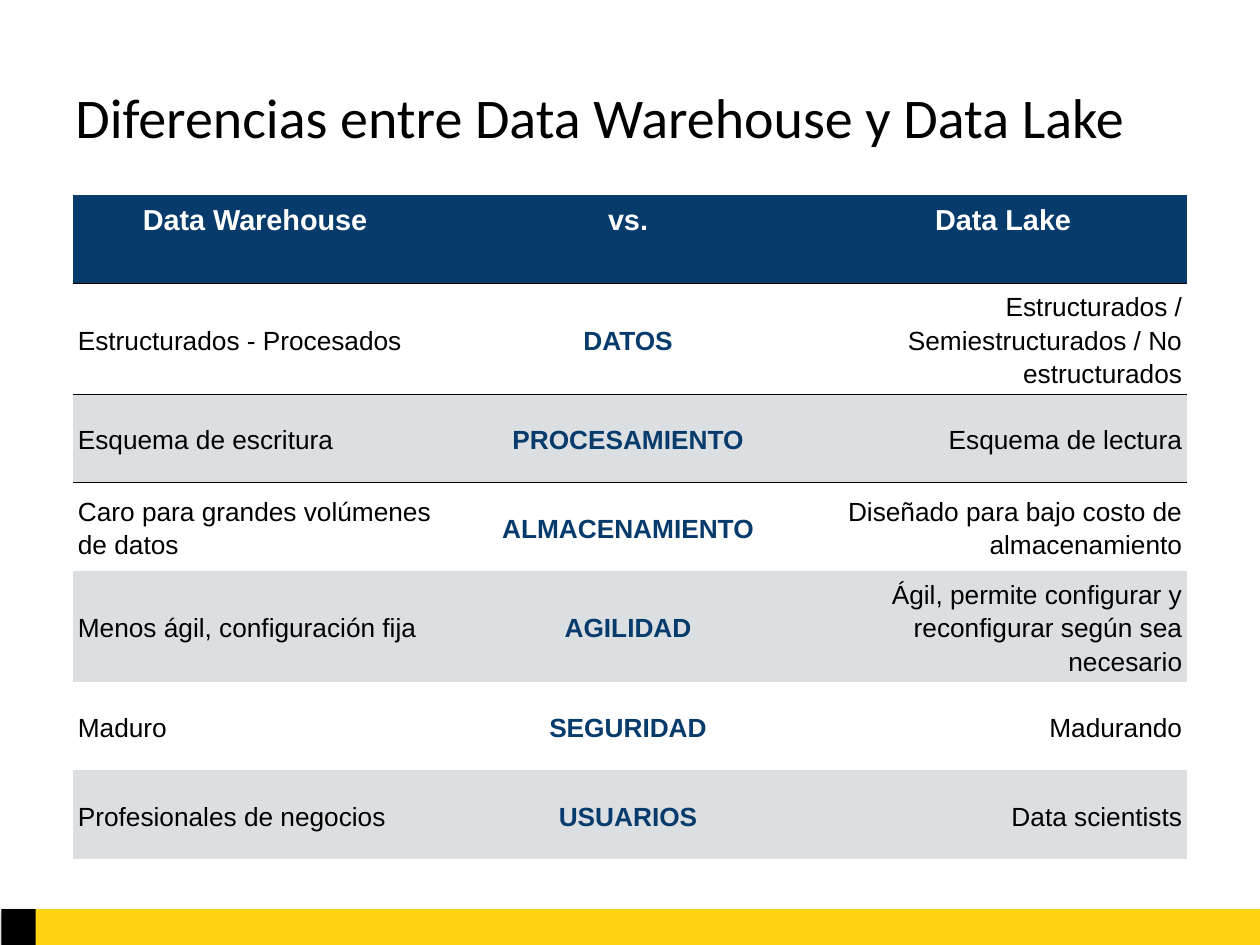
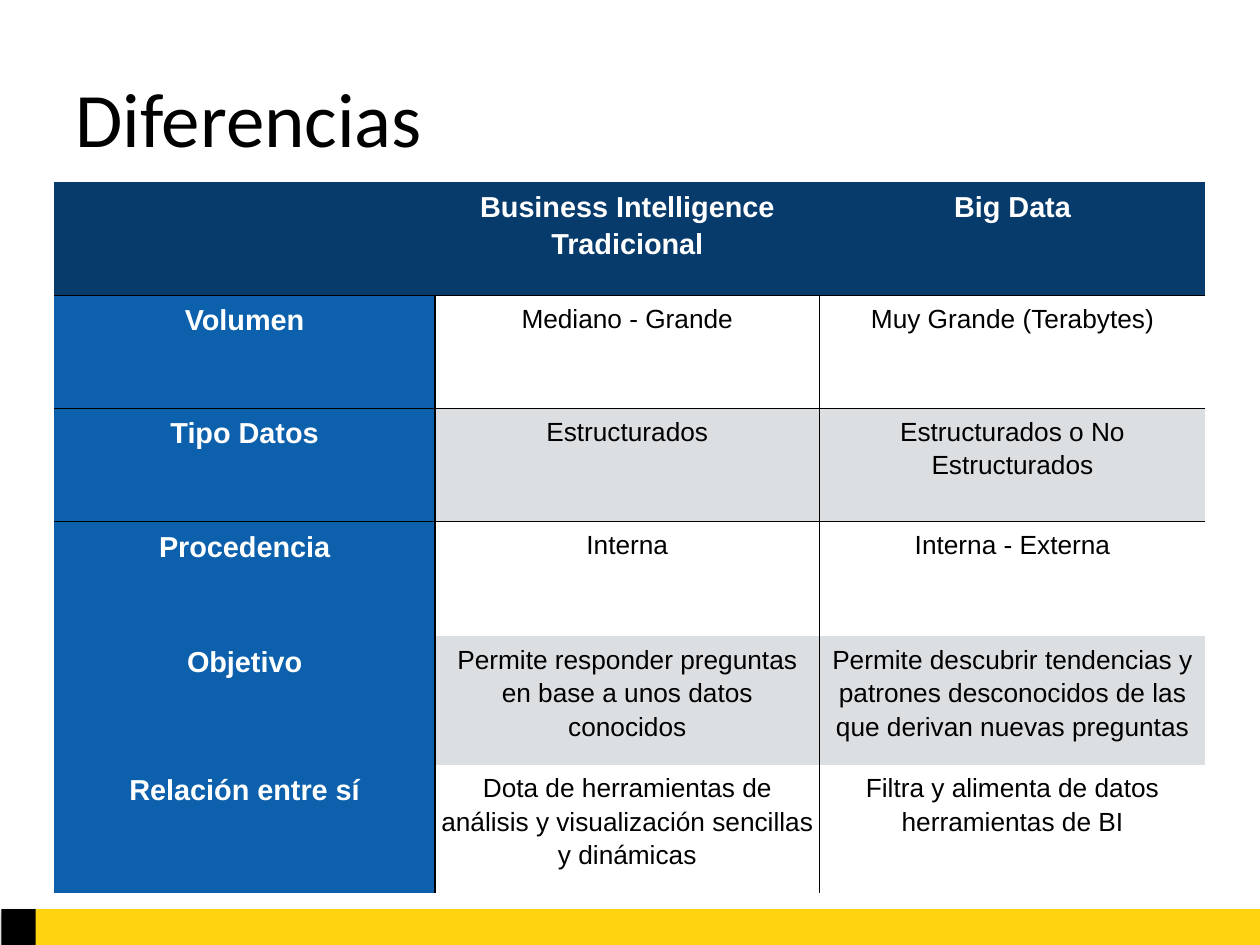
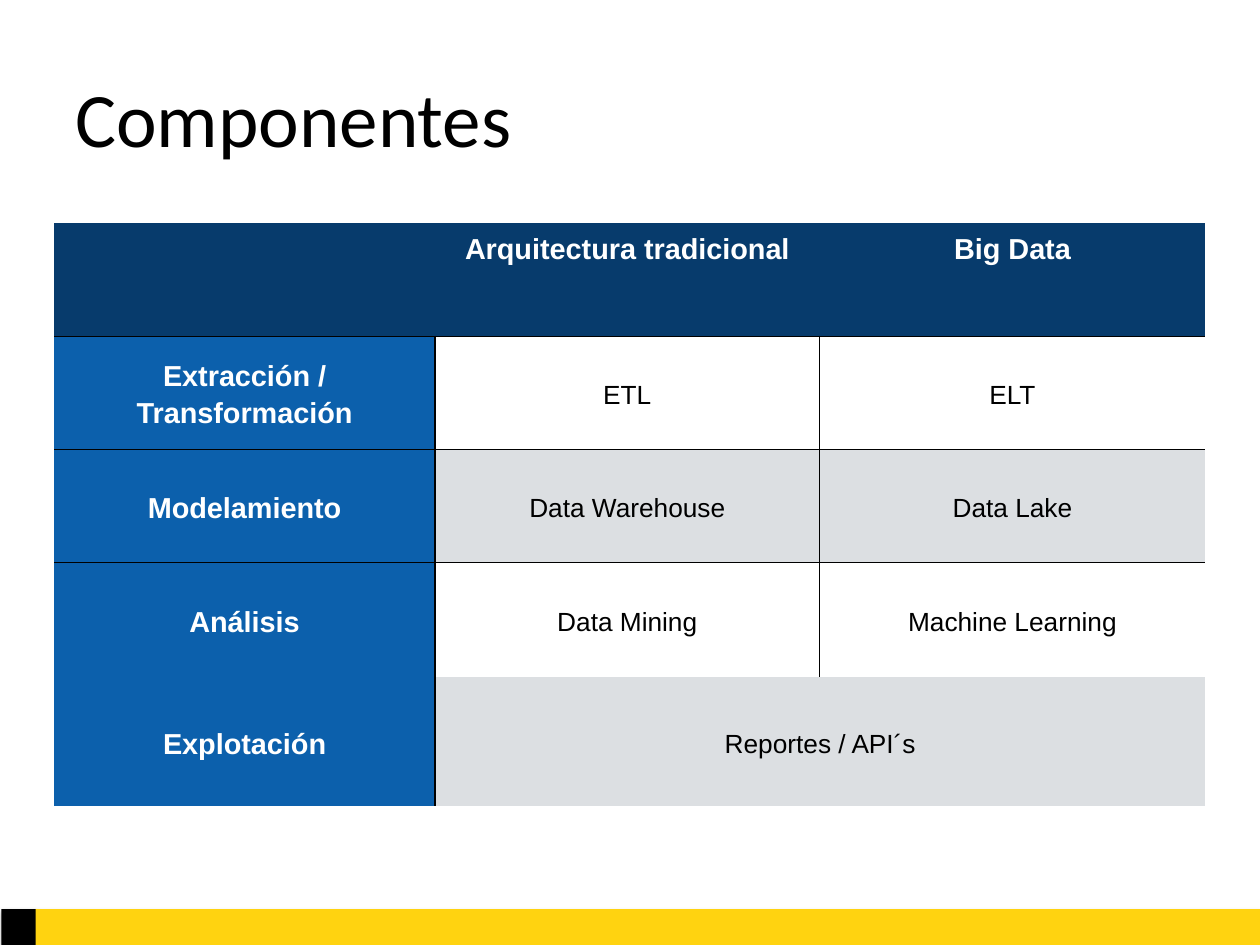
from dataclasses import dataclass

from lxml.etree import SubElement
from pptx import Presentation
from pptx.dml.color import RGBColor
from pptx.enum.shapes import MSO_SHAPE
from pptx.enum.text import MSO_ANCHOR, PP_ALIGN
from pptx.oxml import parse_xml
from pptx.oxml.ns import nsdecls, qn
from pptx.util import Cm, Pt


@dataclass(frozen=True)
class Theme:
    black: str = "000000"
    white: str = "FFFFFF"
    yellow: str = "FFD310"
    navy: str = "073B6C"
    blue: str = "0C60AC"
    grey: str = "DCDFE2"
    title_font: str = "Calibri"
    table_font: str = "Arial"
    title: float = 44
    long_title: float = 32
    heading: float = 16.5
    body: float = 15
    rule: float = 0.75


T = Theme()
LEFT, CENTER, RIGHT = PP_ALIGN.LEFT, PP_ALIGN.CENTER, PP_ALIGN.RIGHT
PLAIN_TABLE = "{2D5ABB26-0587-4C30-8999-92F81FD0307C}"
TITLE_BOX = (1.27, 0.76, 22.86, 3.18)
FOOTER_BOX = (0.03, 18.33, 25.37, 0.72)
GRID_COLS = (7.68, 7.75, 7.78)

LAKE_ROWS = [
    ("Data Warehouse", "vs.", "Data Lake"),
    ("Estructurados - Procesados", "DATOS",
     "Estructurados / Semiestructurados / No estructurados"),
    ("Esquema de escritura", "PROCESAMIENTO", "Esquema de lectura"),
    ("Caro para grandes volúmenes de datos", "ALMACENAMIENTO",
     "Diseñado para bajo costo de almacenamiento"),
    ("Menos ágil, configuración fija", "AGILIDAD",
     "Ágil, permite configurar y reconfigurar según sea necesario"),
    ("Maduro", "SEGURIDAD", "Madurando"),
    ("Profesionales de negocios", "USUARIOS", "Data scientists"),
]
DIFFERENCE_ROWS = [
    ("", "Business Intelligence\nTradicional", "Big Data"),
    ("Volumen", "Mediano - Grande", "Muy Grande (Terabytes)"),
    ("Tipo Datos", "Estructurados", "Estructurados o No Estructurados"),
    ("Procedencia", "Interna", "Interna - Externa"),
    ("Objetivo", "Permite responder preguntas en base a unos datos conocidos",
     "Permite descubrir tendencias y patrones desconocidos de las que derivan nuevas preguntas"),
    ("Relación entre sí",
     "Dota de herramientas de análisis y visualización sencillas y dinámicas",
     "Filtra y alimenta de datos herramientas de BI"),
]
COMPONENT_ROWS = [
    ("", "Arquitectura tradicional", "Big Data"),
    ("Extracción / Transformación", "ETL", "ELT"),
    ("Modelamiento", "Data Warehouse", "Data Lake"),
    ("Análisis", "Data Mining", "Machine Learning"),
    ("Explotación", "Reportes / API´s", None),
]


def rgb(color):
    return RGBColor.from_string(color)


def style_font(font, name, size, color, bold=False):
    font.name, font.size, font.bold = name, Pt(size), bold
    font.color.rgb = rgb(color)


def add_band(s, x, y, w, h, color):
    sp = s.shapes.add_shape(MSO_SHAPE.RECTANGLE, Cm(x), Cm(y), Cm(w), Cm(h))
    sp.fill.solid()
    sp.fill.fore_color.rgb = rgb(color)
    sp.line.fill.background()
    sp._element.spPr.append(parse_xml(
        f'<a:effectLst {nsdecls("a")}><a:outerShdw blurRad="{Pt(3.1)}" dist="{Pt(1.8)}" '
        f'dir="5400000" rotWithShape="0"><a:srgbClr val="{T.black}">'
        '<a:alpha val="35000"/></a:srgbClr></a:outerShdw></a:effectLst>'))


def add_footer(s, box):
    x, y, w, h = box
    add_band(s, x, y, h, h, T.black)
    add_band(s, x + h - 0.03, y, w - h + 0.03, h, T.yellow)


def add_title(s, box, text, size):
    tf = s.shapes.add_textbox(*map(Cm, box)).text_frame
    tf.word_wrap = True
    tf.vertical_anchor = MSO_ANCHOR.MIDDLE
    tf.text = text
    style_font(tf.paragraphs[0].font, T.title_font, size, T.black)


def add_border(cell, side):
    ln = SubElement(cell._tc.get_or_add_tcPr(), qn(f"a:ln{side}"), w=str(Pt(T.rule)))
    fill = SubElement(ln, qn("a:solidFill"))
    SubElement(fill, qn("a:srgbClr"), val=T.black)


def fill_cell(cell, text, fill, size, color, bold, align, anchor):
    cell.fill.solid()
    cell.fill.fore_color.rgb = rgb(fill)
    cell.margin_left = cell.margin_right = cell.margin_top = cell.margin_bottom = Cm(0.1)
    cell.vertical_anchor = anchor
    cell.text = text
    for p in cell.text_frame.paragraphs:
        p.alignment = align
        p.line_spacing = 1.15
        style_font(p.font, T.table_font, size, color, bold)


def lake_style(r, c):
    if r == 0:
        return T.navy, T.heading, T.white, True, CENTER
    fill = T.white if r % 2 else T.grey
    return fill, T.body, T.navy if c == 1 else T.black, c == 1, (LEFT, CENTER, RIGHT)[c]


def grid_style(r, c):
    if r == 0 or c == 0:
        return T.navy if r == 0 else T.blue, T.heading, T.white, True, CENTER
    return T.white if r % 2 else T.grey, T.body, T.black, False, CENTER


def add_comparison(s, x, y, cols, heights, rows, style, anchor, dividers):
    frame = s.shapes.add_table(len(rows), len(cols), Cm(x), Cm(y),
                               Cm(sum(cols)), Cm(sum(heights)))
    table = frame.table
    table.first_row = table.horz_banding = False
    table._tbl.tblPr.find(qn("a:tableStyleId")).text = PLAIN_TABLE
    for column, width in zip(table.columns, cols):
        column.width = Cm(width)
    for row, height in zip(table.rows, heights):
        row.height = Cm(height)
    for r, texts in enumerate(rows):
        for c, text in enumerate(texts):
            cell = table.cell(r, c)
            if text is None:
                table.cell(r, c - 1).merge(cell)
                continue
            divided = dividers and r > 0
            edges = {
                "L": divided and c > 0,
                "R": divided and c + 1 < len(texts) and texts[c + 1] is not None,
                "T": r in (1, 2),
                "B": r in (0, 1),
            }
            for side, drawn in edges.items():
                if drawn:
                    add_border(cell, side)
            fill_cell(cell, text, *style(r, c), MSO_ANCHOR.TOP if r == 0 else anchor)


def add_slide(prs, title, size, **table):
    s = prs.slides.add_slide(prs.slide_layouts[6])
    add_footer(s, FOOTER_BOX)
    add_comparison(s, **table)
    add_title(s, TITLE_BOX, title, size)


def main():
    prs = Presentation()
    prs.slide_width, prs.slide_height = Cm(25.4), Cm(19.05)
    add_slide(prs, "Diferencias entre Data Warehouse y Data Lake", T.long_title,
              x=1.47, y=3.93, cols=(7.34, 7.7, 7.42),
              heights=(1.78, 2.24, 1.78, 1.78, 2.24, 1.78, 1.79),
              rows=LAKE_ROWS, style=lake_style, anchor=MSO_ANCHOR.MIDDLE, dividers=False)
    add_slide(prs, "Diferencias", T.title, x=1.09, y=3.67, cols=GRID_COLS,
              heights=(2.28, 2.28, 2.28, 2.32, 2.59, 2.59),
              rows=DIFFERENCE_ROWS, style=grid_style, anchor=MSO_ANCHOR.TOP, dividers=True)
    add_slide(prs, "Componentes", T.title, x=1.09, y=4.5, cols=GRID_COLS,
              heights=(2.28, 2.28, 2.28, 2.32, 2.59),
              rows=COMPONENT_ROWS, style=grid_style, anchor=MSO_ANCHOR.MIDDLE, dividers=True)
    prs.save("out.pptx")


if __name__ == "__main__":
    main()
